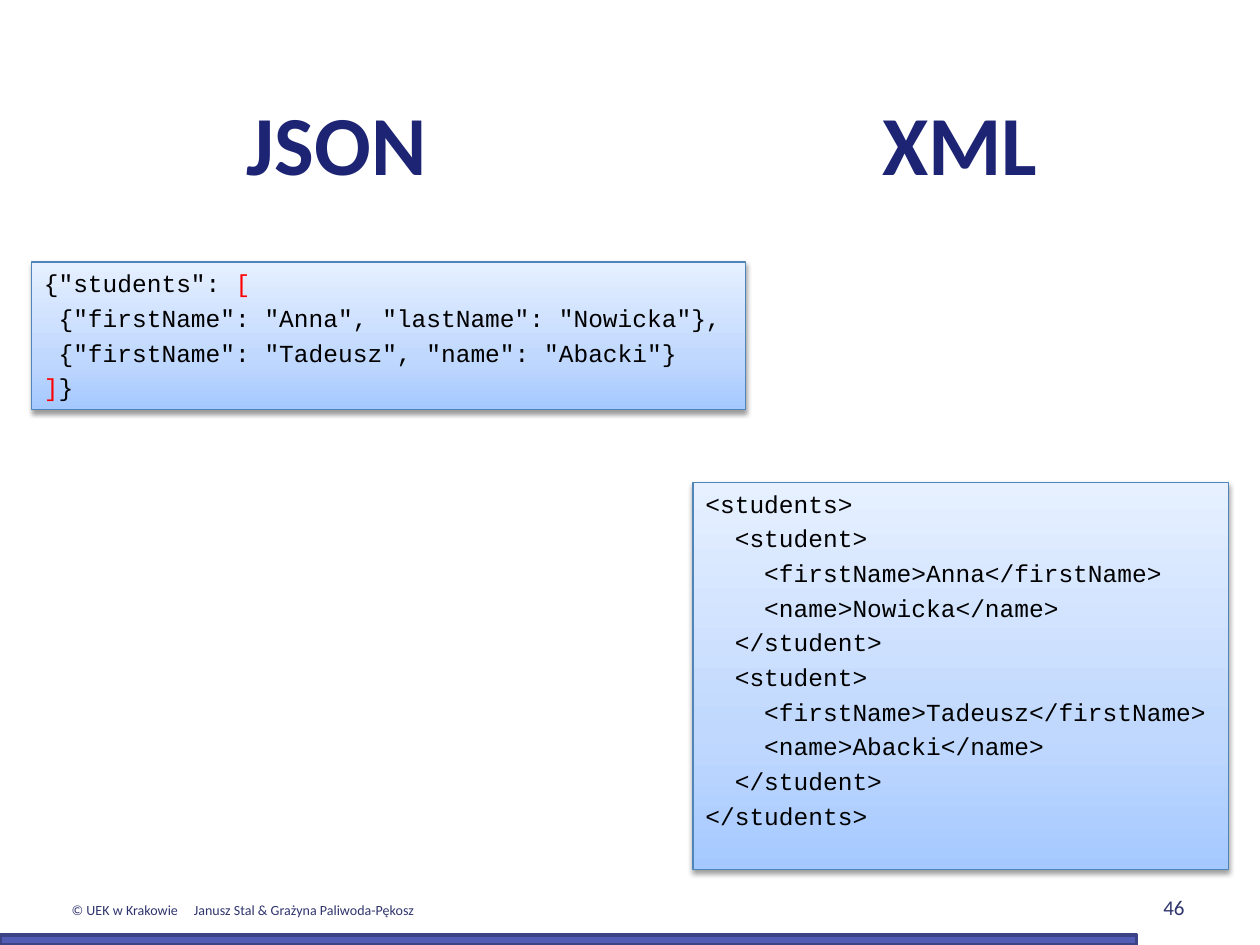
"""Build a slide that compares one student list in JSON and in XML."""
from copy import deepcopy
from dataclasses import dataclass

from lxml import etree
from pptx import Presentation
from pptx.dml.color import RGBColor
from pptx.enum import shapes, text
from pptx.oxml import parse_xml
from pptx.oxml.ns import nsdecls, qn
from pptx.util import Inches, Pt


@dataclass(frozen=True)
class Theme:
    title: str = "1D2474"
    footer: str = "30356E"
    code: str = "000000"
    bracket: str = "FF0000"
    panel_line: str = "5085BA"
    panel_stops: tuple = ((0, "A5C9FF"), (0.35, "C0D8FE"), (1, "E6F0FF"))
    bar: str = "525CB4"
    bar_line: str = "3D4485"
    sans: str = "Calibri"
    mono: str = "Courier New"
    title_size: int = 48
    code_size: int = 14
    footer_size: int = 8
    number_size: int = 12


@dataclass(frozen=True)
class Box:
    left: float
    top: float
    width: float
    height: float

    def emu(self) -> tuple:
        return tuple(Inches(v) for v in (self.left, self.top, self.width, self.height))


@dataclass(frozen=True)
class CodePanel:
    box: Box
    lines: tuple
    marked: str = ""


@dataclass(frozen=True)
class Label:
    box: Box
    words: str
    size: int
    align: text.PP_ALIGN = text.PP_ALIGN.LEFT
    anchor: text.MSO_ANCHOR = text.MSO_ANCHOR.TOP
    tabs: tuple = ()


THEME = Theme()

JSON_PANEL = CodePanel(
    Box(0.25, 2.08, 5.67, 1.17),
    (
        '{"students": [',
        ' {"firstName": "Anna", "lastName": "Nowicka"},',
        ' {"firstName": "Tadeusz", "name": "Abacki"}',
        "]}",
    ),
    marked="[]",
)
XML_PANEL = CodePanel(
    Box(5.5, 3.83, 4.25, 3.07),
    (
        "<students>",
        "  <student>",
        "    <firstName>Anna</firstName>",
        "    <name>Nowicka</name>",
        "  </student>",
        "  <student>",
        "    <firstName>Tadeusz</firstName>",
        "    <name>Abacki</name>",
        "  </student>",
        "</students>",
    ),
)
FOOTERS = (
    Label(Box(0.47, 7.11, 3.12, 0.24),
          "© UEK w Krakowie\tJanusz Stal & Grażyna Paliwoda-Pękosz",
          THEME.footer_size, tabs=(0.97,)),
    Label(Box(7.17, 6.83, 2.33, 0.52), "46", THEME.number_size,
          text.PP_ALIGN.RIGHT, text.MSO_ANCHOR.BOTTOM),
)


def add_run(p, words: str, font: str, size: int, color: str, bold: bool = False) -> None:
    r = p.add_run()
    r.text = words
    r.font.name = font
    r.font.size = Pt(size)
    r.font.bold = bold
    r.font.color.rgb = RGBColor.from_string(color)


def set_tabs(p, stops: tuple) -> None:
    tabs = etree.SubElement(p._p.get_or_add_pPr(), qn("a:tabLst"))
    for stop in stops:
        etree.SubElement(tabs, qn("a:tab"), pos=str(Inches(stop)), algn="l")


def add_title(s) -> None:
    sp = s.shapes.title
    sp.left, sp.top, sp.width, sp.height = Box(0.5, 0.33, 9, 1.25).emu()
    tf = sp.text_frame
    tf.vertical_anchor = text.MSO_ANCHOR.BOTTOM
    p = tf.paragraphs[0]
    p.alignment = text.PP_ALIGN.LEFT
    set_tabs(p, (1.36, 6.4))
    add_run(p, "\tJSON\tXML", THEME.sans, THEME.title_size, THEME.title, True)


def add_label(s, label: Label) -> None:
    tf = s.shapes.add_textbox(*label.box.emu()).text_frame
    tf.word_wrap = True
    tf.vertical_anchor = label.anchor
    p = tf.paragraphs[0]
    p.alignment = label.align
    if label.tabs:
        set_tabs(p, label.tabs)
    add_run(p, label.words, THEME.sans, label.size, THEME.footer)


def add_rect(s, box: Box, line: str, weight: float):
    sp = s.shapes.add_shape(shapes.MSO_SHAPE.RECTANGLE, *box.emu())
    sp.line.color.rgb = RGBColor.from_string(line)
    sp.line.width = Pt(weight)
    return sp


def fill_gradient(sp) -> None:
    sp.fill.gradient()
    sp.fill.gradient_angle = 90
    first = sp._element.spPr.find(".//" + qn("a:gs"))
    first.addnext(deepcopy(first))
    for stop, (position, color) in zip(sp.fill.gradient_stops, THEME.panel_stops):
        stop.position = position
        stop.color.rgb = RGBColor.from_string(color)


def add_shadow(sp) -> None:
    sp._element.spPr.append(parse_xml(
        f'<a:effectLst {nsdecls("a")}><a:outerShdw blurRad="{Pt(3.1)}" dist="{Pt(1.6)}" '
        'dir="5400000" rotWithShape="0"><a:srgbClr val="000000"><a:alpha val="38000"/>'
        '</a:srgbClr></a:outerShdw></a:effectLst>'))


def add_code(s, panel: CodePanel) -> None:
    sp = add_rect(s, panel.box, THEME.panel_line, 0.75)
    fill_gradient(sp)
    add_shadow(sp)
    tf = sp.text_frame
    tf.word_wrap = True
    tf.vertical_anchor = text.MSO_ANCHOR.TOP
    tf.margin_top = Inches(0.05)
    for i, line in enumerate(panel.lines):
        p = tf.add_paragraph() if i else tf.paragraphs[0]
        p.alignment = text.PP_ALIGN.LEFT
        if i:
            p.space_before = Pt(3)
        mark = next((c for c in line if c in panel.marked), "")
        before, found, after = line.partition(mark) if mark else (line, "", "")
        for words, color in ((before, THEME.code), (found, THEME.bracket), (after, THEME.code)):
            if words:
                add_run(p, words, THEME.mono, THEME.code_size, color)


def main() -> None:
    prs = Presentation()
    prs.slide_width, prs.slide_height = Inches(10), Inches(7.5)
    s = prs.slides.add_slide(prs.slide_layouts[5])
    add_title(s)
    for label in FOOTERS:
        add_label(s, label)
    for panel in (JSON_PANEL, XML_PANEL):
        add_code(s, panel)
    bar = add_rect(s, Box(0, 7.42, 9.02, 0.08), THEME.bar_line, 2)
    bar.fill.solid()
    bar.fill.fore_color.rgb = RGBColor.from_string(THEME.bar)
    bar.shadow.inherit = False
    prs.save("out.pptx")


if __name__ == "__main__":
    main()
